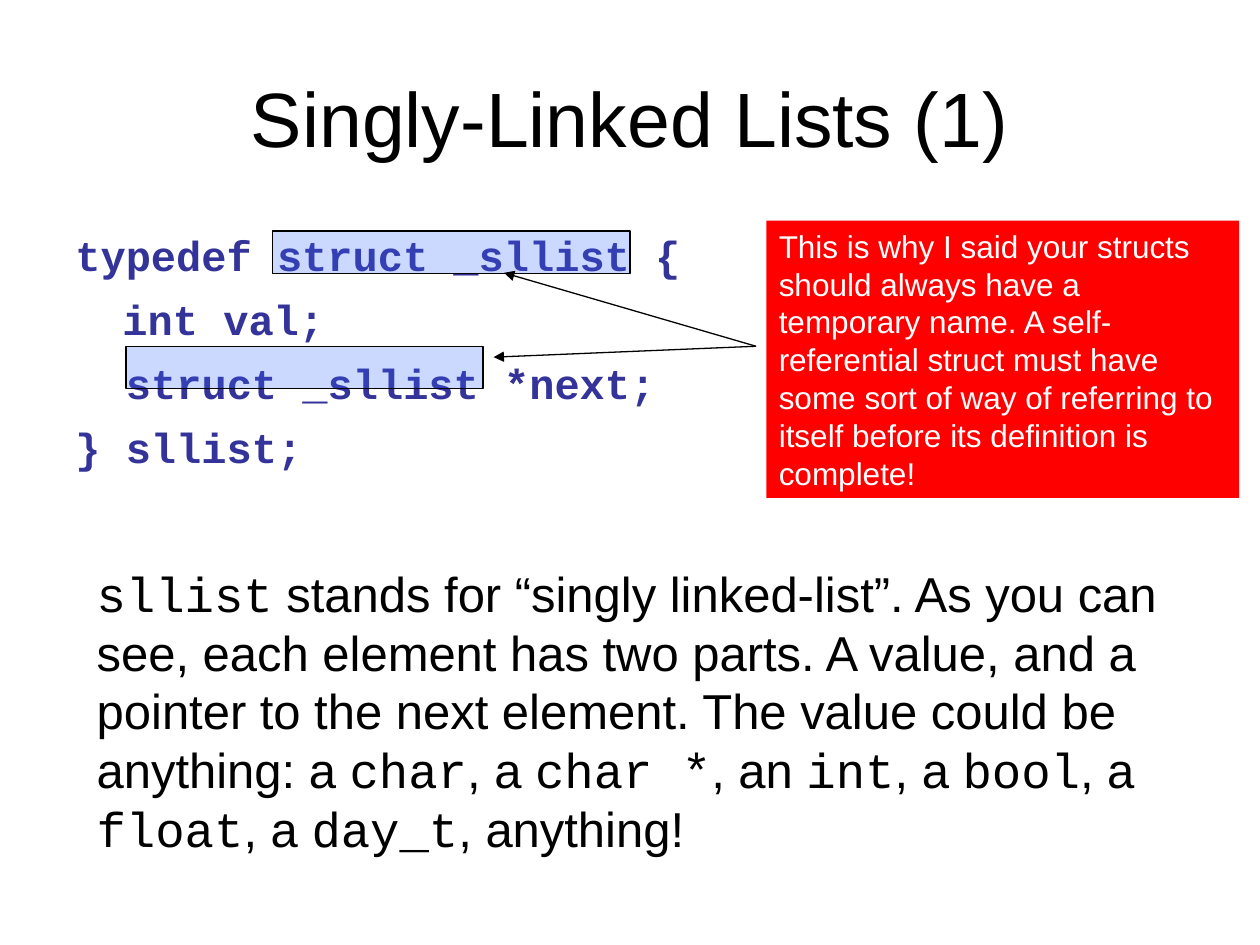
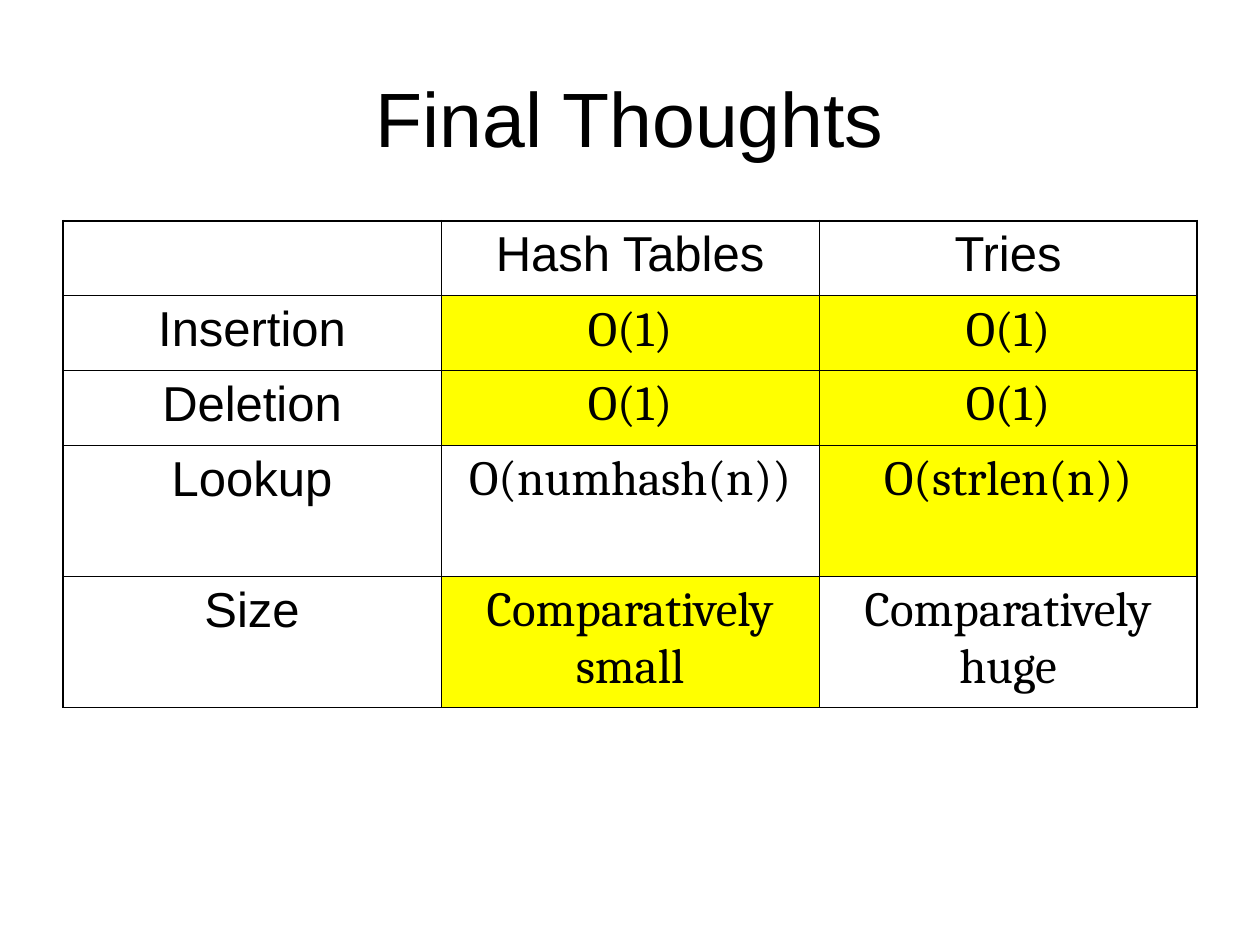
from lxml import etree
from pptx import Presentation
from pptx.dml.color import RGBColor
from pptx.enum.shapes import MSO_CONNECTOR, MSO_SHAPE
from pptx.enum.text import MSO_ANCHOR, PP_ALIGN
from pptx.oxml.ns import qn
from pptx.util import Cm, Pt

BLACK = RGBColor(0x00, 0x00, 0x00)
WHITE = RGBColor(0xFF, 0xFF, 0xFF)
RED = RGBColor(0xFF, 0x00, 0x00)
YELLOW = RGBColor(0xFF, 0xFF, 0x00)
INDIGO = RGBColor(0x33, 0x33, 0x99)
BLUE = RGBColor(0x33, 0x66, 0xFF)
LEFT, CENTER = PP_ALIGN.LEFT, PP_ALIGN.CENTER
TOP, MIDDLE = MSO_ANCHOR.TOP, MSO_ANCHOR.MIDDLE
RECTANGLE = MSO_SHAPE.RECTANGLE
STRAIGHT = MSO_CONNECTOR.STRAIGHT
SANS, SERIF, MONO = "Arial", "Cambria", "Courier New"

TITLE_FONT = {"name": SANS, "size": Pt(44)}
CODE_FONT = {"name": MONO, "size": Pt(24), "bold": True}
SANS_FONT = {"name": SANS, "size": Pt(28)}
MONO_FONT = {"name": MONO, "size": Pt(28)}
SERIF_FONT = {"name": SERIF, "size": Pt(28)}
CALLOUT_FONT = {"name": SANS, "size": Pt(18)}

LIST_TITLE = "Singly-Linked Lists (1)"
CODE_LINES = [
    ("typedef struct _sllist {", 0),
    ("int val;", 0.95),
    ("struct _sllist *next;", 1.02),
    ("} sllist;", 0),
]
EXPLANATION = [
    ("sllist", MONO_FONT),
    (" stands for “singly linked-list”. As you can see, each element has two "
     "parts. A value, and a pointer to the next element. The value could be "
     "anything: a ", SANS_FONT),
    ("char", MONO_FONT), (", a ", SANS_FONT),
    ("char *", MONO_FONT), (", an ", SANS_FONT),
    ("int", MONO_FONT), (", a ", SANS_FONT),
    ("bool", MONO_FONT), (", a ", SANS_FONT),
    ("float", MONO_FONT), (", a ", SANS_FONT),
    ("day_t", MONO_FONT), (", anything!", SANS_FONT),
]
CALLOUT = ("This is why I said your structs should always have a temporary name. "
           "A self-referential struct must have some sort of way of referring to "
           "itself before its definition is complete!")
HIGHLIGHTS = [(5.5, 4.66), (2.54, 6.98)]
ARROW_START = (15.24, 6.98)
ARROW_TIPS = [(10.16, 5.5), (9.95, 7.2)]

THOUGHTS_TITLE = "Final Thoughts"
COMPARISON = [
    ("", "Hash Tables", "Tries"),
    ("Insertion", "O(1)", "O(1)"),
    ("Deletion", "O(1)", "O(1)"),
    ("Lookup", "O(numhash(n))", "O(strlen(n))"),
    ("Size", "Comparatively small", "Comparatively huge"),
]
WINNERS = {(1, 1), (1, 2), (2, 1), (2, 2), (3, 2), (4, 1)}
ROW_HEIGHTS = [1.51, 1.51, 1.51, 2.64, 2.64]
COLUMN_WIDTH = 7.62


def write(paragraph, text, style, color=BLACK):
    run = paragraph.add_run()
    run.text = text
    for attribute, value in style.items():
        setattr(run.font, attribute, value)
    run.font.color.rgb = color


def add_text_box(slide, left, top, width, height, anchor=TOP):
    frame = slide.shapes.add_textbox(Cm(left), Cm(top), Cm(width), Cm(height)).text_frame
    frame.word_wrap = True
    frame.vertical_anchor = anchor
    return frame


def add_titled_slide(title):
    slide = deck.slides.add_slide(deck.slide_layouts[6])
    heading = add_text_box(slide, 1.27, 0.76, 22.86, 3.18, MIDDLE).paragraphs[0]
    heading.alignment = CENTER
    write(heading, title, TITLE_FONT)
    return slide


def add_rectangle(slide, left, top, width, height, color):
    rectangle = slide.shapes.add_shape(RECTANGLE, Cm(left), Cm(top), Cm(width), Cm(height))
    rectangle.shadow.inherit = False
    rectangle.fill.solid()
    rectangle.fill.fore_color.rgb = color
    return rectangle


def outline(shape):
    shape.line.color.rgb = BLACK
    shape.line.width = Pt(0.74)


def add_highlight(slide, left, top):
    highlight = add_rectangle(slide, left, top, 7.2, 0.85, BLUE)
    outline(highlight)
    color = highlight.fill._xPr.find(f".//{qn('a:srgbClr')}")
    etree.SubElement(color, qn("a:alpha"), val="25000")


def add_arrow(slide, start, tip):
    arrow = slide.shapes.add_connector(STRAIGHT, *map(Cm, start + tip))
    outline(arrow)
    etree.SubElement(arrow.line._get_or_add_ln(), qn("a:tailEnd"), type="triangle")
    etree.SubElement(arrow._element.spPr, qn("a:effectLst"))


def add_border(cell, side, width):
    border = etree.SubElement(cell._tc.get_or_add_tcPr(), qn(f"a:ln{side}"), w=str(Pt(width)))
    fill = etree.SubElement(border, qn("a:solidFill"))
    etree.SubElement(fill, qn("a:srgbClr"), val=str(BLACK))


def add_comparison(slide):
    row_count, column_count = len(COMPARISON), len(COMPARISON[0])
    table = slide.shapes.add_table(
        row_count, column_count, Cm(1.27), Cm(4.45),
        Cm(COLUMN_WIDTH * column_count), Cm(sum(ROW_HEIGHTS))).table
    table.first_row = table.horz_banding = False
    for column in table.columns:
        column.width = Cm(COLUMN_WIDTH)
    for r, (entries, height) in enumerate(zip(COMPARISON, ROW_HEIGHTS)):
        table.rows[r].height = Cm(height)
        for c, entry in enumerate(entries):
            cell = table.cell(r, c)
            outer_edges = {"L": c == 0, "R": c == column_count - 1,
                           "T": r == 0, "B": r == row_count - 1}
            for side, is_outer in outer_edges.items():
                add_border(cell, side, 1.08 if is_outer else 0.45)
            if (r, c) in WINNERS:
                cell.fill.solid()
                cell.fill.fore_color.rgb = YELLOW
            else:
                cell.fill.background()
            paragraph = cell.text_frame.paragraphs[0]
            paragraph.alignment = CENTER
            paragraph.space_before = Pt(7)
            if entry:
                write(paragraph, entry, SERIF_FONT if r and c else SANS_FONT)


deck = Presentation()
deck.slide_width, deck.slide_height = Cm(25.4), Cm(19.05)

list_slide = add_titled_slide(LIST_TITLE)
code = add_text_box(list_slide, 1.27, 4.5, 22.86, 12.57)
for number, (code_line, indent) in enumerate(CODE_LINES):
    paragraph = code.add_paragraph() if number else code.paragraphs[0]
    paragraph.space_before = Pt(7.7 if number else 0)
    paragraph._p.get_or_add_pPr().set("marL", str(Cm(indent)))
    write(paragraph, code_line, CODE_FONT, INDIGO)

explanation = add_text_box(list_slide, 1.7, 11.23, 22.23, 6.2).paragraphs[0]
for words, style in EXPLANATION:
    write(explanation, words, style)

callout = add_rectangle(list_slide, 15.45, 4.45, 9.53, 5.59, RED)
callout.line.fill.background()
callout.text_frame.word_wrap = True
callout.text_frame.vertical_anchor = TOP
callout.text_frame.paragraphs[0].alignment = LEFT
write(callout.text_frame.paragraphs[0], CALLOUT, CALLOUT_FONT, WHITE)

for corner in HIGHLIGHTS:
    add_highlight(list_slide, *corner)
for tip in ARROW_TIPS:
    add_arrow(list_slide, ARROW_START, tip)

thoughts_slide = add_titled_slide(THOUGHTS_TITLE)
add_comparison(thoughts_slide)

deck.save("out.pptx")
